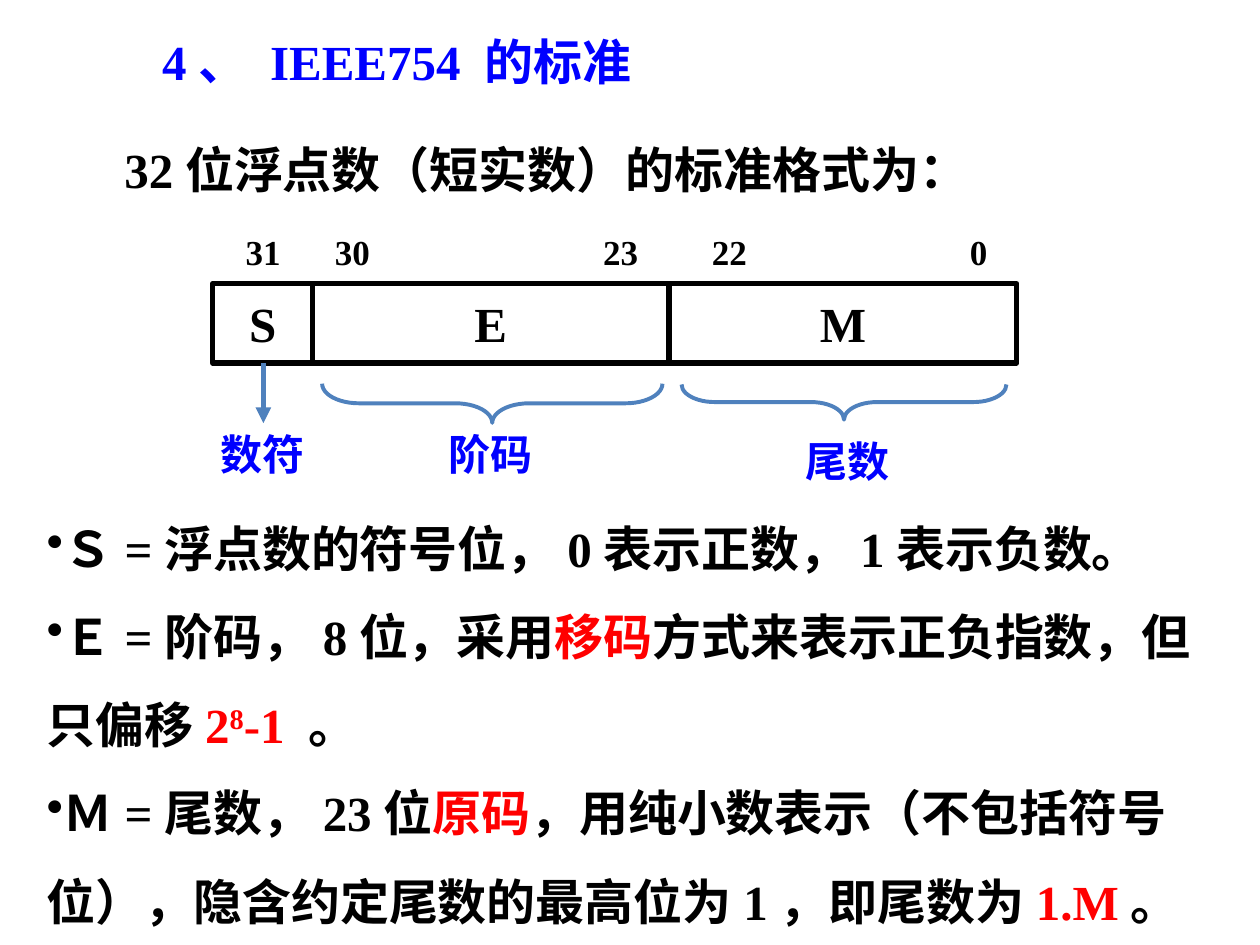
from dataclasses import dataclass

from lxml.etree import SubElement
from pptx import Presentation
from pptx.dml.color import RGBColor
from pptx.enum.shapes import MSO_CONNECTOR, MSO_SHAPE
from pptx.enum.text import MSO_ANCHOR, PP_ALIGN
from pptx.oxml.ns import qn
from pptx.util import Cm, Pt


@dataclass(frozen=True)
class Theme:
    black = RGBColor(0, 0, 0)
    blue = RGBColor(0, 0, 255)
    red = RGBColor(255, 0, 0)
    accent = RGBColor(0x4F, 0x81, 0xBD)
    serif = "Times New Roman"
    sans = "Calibri"
    main = Pt(28)
    label = Pt(24)
    bit = Pt(20)
    thick = Pt(3)
    thin = Pt(2.25)


class SlideBuilder:
    def __init__(self, slide, theme):
        self.s, self.t = slide, theme

    def style(self, p, size, color, font=None):
        f = p.font
        f.name, f.size, f.bold = font or self.t.serif, size, True
        f.color.rgb = color

    def box(self, x, y, w, h, wrap=True):
        tf = self.s.shapes.add_textbox(Cm(x), Cm(y), Cm(w), Cm(h)).text_frame
        tf.word_wrap = wrap
        return tf

    def headings(self, x, y, w, h, lines):
        tf = self.box(x, y, w, h)
        for i, (text, color, indent) in enumerate(lines):
            p = tf.paragraphs[0] if i == 0 else tf.add_paragraph()
            p.text = text
            p.line_spacing = 1.5
            p.space_before = Pt(5.6)
            p.space_after = Pt(0 if i else 5.6)
            p._p.get_or_add_pPr().set("marL", str(Cm(indent)))
            self.style(p, self.t.main, color)

    def bullets(self, x, y, w, h, items):
        """Each item is a list of (text, kind); kind is "", "red" or "sup"."""
        tf = self.box(x, y, w, h)
        for i, runs in enumerate(items):
            p = tf.paragraphs[0] if i == 0 else tf.add_paragraph()
            p.line_spacing = 1.5
            SubElement(p._p.get_or_add_pPr(), qn("a:buChar")).set("char", "•")
            self.style(p, self.t.main, self.t.black)
            for text, kind in runs:
                r = p.add_run()
                r.text = text
                if kind:
                    r.font.color.rgb = self.t.red
                if kind == "sup":
                    r._r.get_or_add_rPr().set("baseline", "30000")

    def field(self, x, y, w, h, text):
        sp = self.s.shapes.add_shape(MSO_SHAPE.RECTANGLE, Cm(x), Cm(y), Cm(w), Cm(h))
        sp.shadow.inherit = False
        sp.fill.background()
        sp.line.color.rgb, sp.line.width = self.t.black, self.t.thick
        tf = sp.text_frame
        tf.vertical_anchor = MSO_ANCHOR.MIDDLE
        p = tf.paragraphs[0]
        p.text, p.alignment = text, PP_ALIGN.CENTER
        self.style(p, self.t.main, self.t.black)

    def bit(self, x, y, w, h, text):
        p = self.box(x, y, w, h, wrap=False).paragraphs[0]
        p.text = text
        self.style(p, self.t.bit, self.t.black)

    def label(self, x, y, w, h, text):
        tf = self.box(x, y, w, h)
        tf.margin_left, tf.margin_right = Cm(0.94), Cm(0.15)
        tf.margin_top = tf.margin_bottom = Cm(0.03)
        p = tf.paragraphs[0]
        p.text = text
        self.style(p, self.t.label, self.t.blue, self.t.sans)

    def brace(self, x, y, w, h):
        sp = self.s.shapes.add_shape(MSO_SHAPE.LEFT_BRACE, Cm(x), Cm(y), Cm(w), Cm(h))
        sp.shadow.inherit = False
        sp.rotation = 270
        sp.adjustments[0] = 0.94
        sp.fill.background()
        sp.line.color.rgb, sp.line.width = self.t.accent, self.t.thin

    def arrow(self, x1, y1, x2, y2):
        c = self.s.shapes.add_connector(
            MSO_CONNECTOR.STRAIGHT, Cm(x1), Cm(y1), Cm(x2), Cm(y2))
        c.line.color.rgb, c.line.width = self.t.accent, self.t.thick
        SubElement(c.line._get_or_add_ln(), qn("a:tailEnd")).set("type", "triangle")
        SubElement(c._element.spPr, qn("a:effectLst"))


def main():
    prs = Presentation()
    prs.slide_width, prs.slide_height = Cm(25.4), Cm(19.05)
    t = Theme()
    b = SlideBuilder(prs.slides.add_slide(prs.slide_layouts[6]), t)

    # Headings
    b.headings(0.3, -0.08, 21.51, 4.14, [
        ("4、 IEEE754 的标准", t.blue, 2.72),
        ("32位浮点数（短实数）的标准格式为：", t.black, 1.96),
    ])

    # Meaning of each field
    b.bullets(0.69, 9.73, 24.21, 9.02, [
        [("Ｓ=浮点数的符号位，0表示正数，1表示负数。", "")],
        [("Ｅ=阶码，8位，采用", ""), ("移码", "red"),
         ("方式来表示正负指数，但只偏移", ""),
         ("2", "red"), ("8", "sup"), ("-1 ", "red"), ("。", "")],
        [("Ｍ=尾数，23位", ""), ("原码", "red"),
         ("，用纯小数表示（不包括符号位），隐含约定尾数的最高位为1，即尾数为", ""),
         ("1.M", "red"), ("。", "")],
    ])

    # Word format: adjoining fields
    edges = [4.29, 6.3, 13.49, 20.5]
    for name, left, right in zip("SEM", edges, edges[1:]):
        b.field(left, 5.72, right - left, 1.6, name)

    # Bit numbers
    for text, x in [("31", 4.7), ("30", 6.5), ("23", 11.91), ("22", 14.1), ("0", 19.3)]:
        b.bit(x, 4.52, 0.5 + 0.36 * len(text), 1.12, text)

    # Pointers and field names
    b.brace(9.53, 4.7, 0.79, 6.86)
    b.brace(16.66, 4.83, 0.71, 6.55)
    b.arrow(5.31, 7.32, 5.31, 8.53)
    for text, x, y in [("数符", 3.51, 8.61), ("阶码", 8.1, 8.61), ("尾数", 15.29, 8.74)]:
        b.label(x, y, 4.39, 1.1, text)

    prs.save("out.pptx")


if __name__ == "__main__":
    main()
